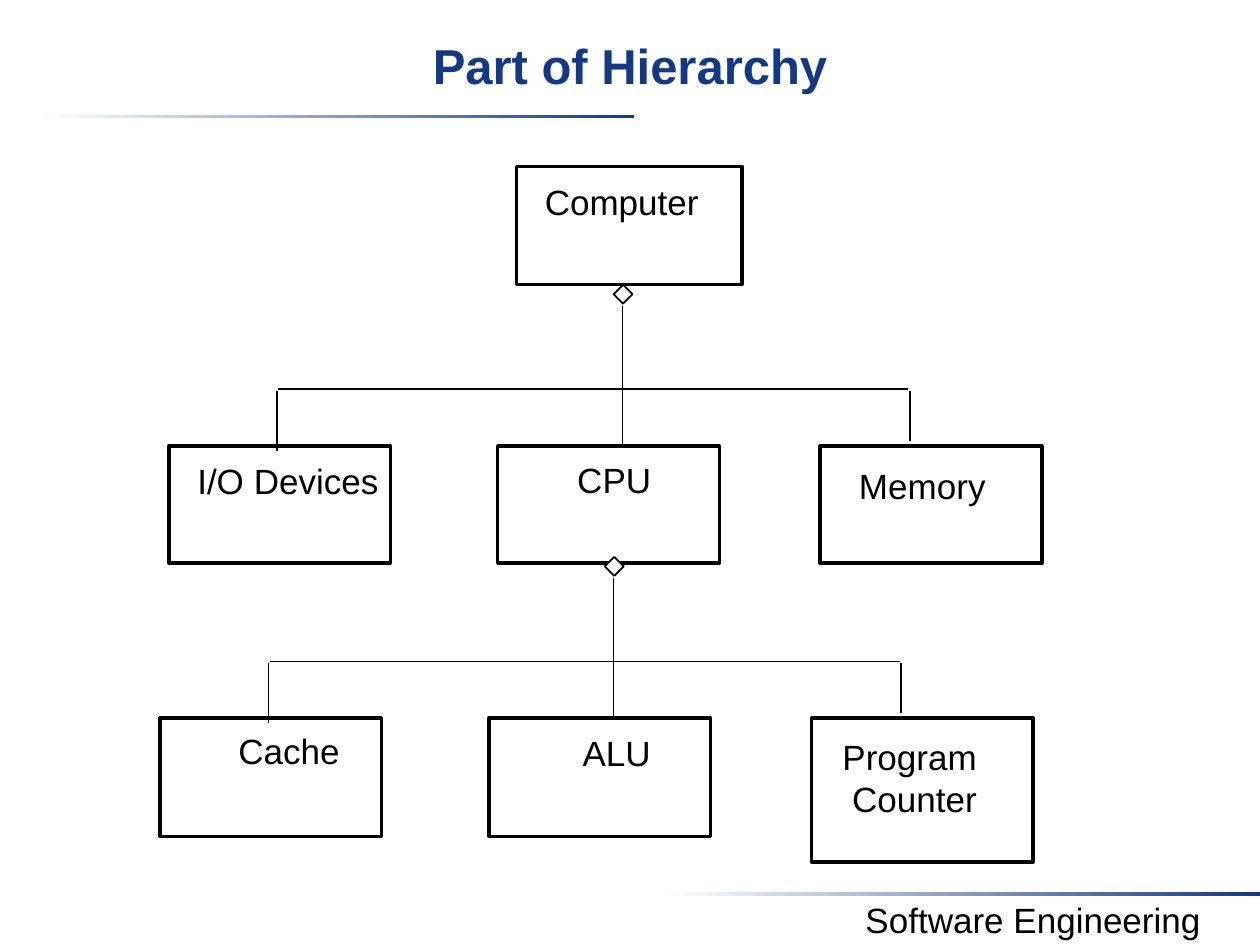
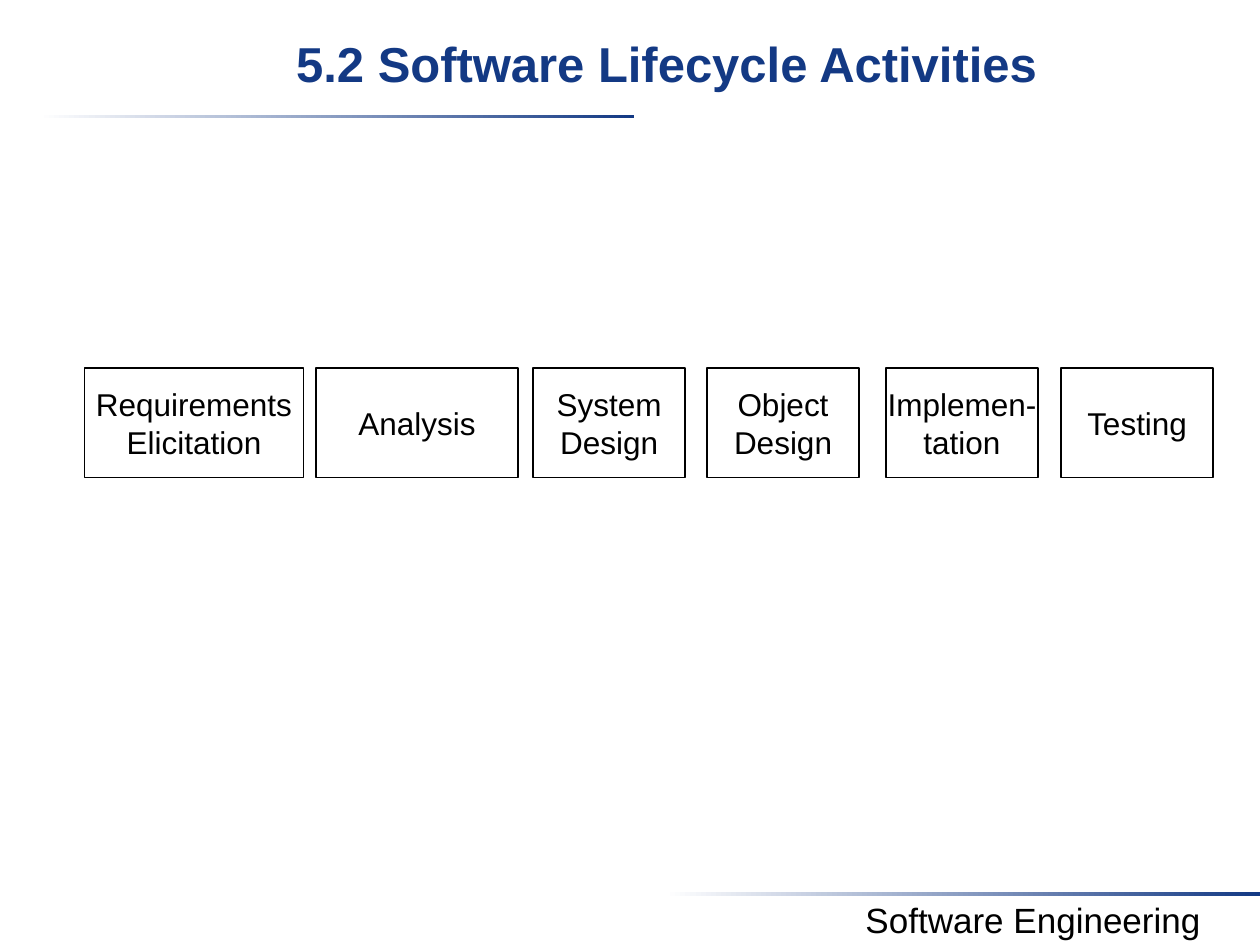
from lxml import etree
from pptx import Presentation
from pptx import util as u
from pptx.dml.color import RGBColor
from pptx.enum import shapes, text
from pptx.oxml.ns import qn

COLORS = {"navy": "133984", "black": "000000", "white": "FFFFFF"}
FONT = "Arial"
FOOTER = "Software Engineering"
BANDS = [(0.31, 0.91), (5.28, 7.08)]
BAND_SIZE = (4.72, 0.03)

HIERARCHY_TITLE = "Part of Hierarchy"
LIFECYCLE_TITLE = "5.2 Software Lifecycle Activities"

WHOLE = ("Computer", (4.1, 1.32, 1.79, 0.94), (4.22, 1.38, 1.43, 0.44))

# Each tree: offset, then (label, box height, label place) for its three parts
TREES = [
    ((0, 0), [
        ("I/O Devices", 0.93, (1.44, 3.6, 1.69, 0.43)),
        ("CPU", 0.93, (4.48, 3.59, 0.79, 0.43)),
        ("Memory", 0.93, (6.69, 3.64, 1.26, 0.43)),
    ]),
    ((-0.07, 2.16), [
        ("Cache", 0.94, (1.78, 5.74, 1.03, 0.43)),
        ("ALU", 0.94, (4.51, 5.76, 0.77, 0.43)),
        ("Program\n Counter", 1.14, (6.58, 5.79, 1.28, 0.77)),
    ]),
]
PART_LEFTS = (1.34, 3.95, 6.51)
PART_TOP, PART_WIDTH = 3.54, 1.76
DIAMOND = (4.87, 2.26, 0.15, 0.15)
BRANCHES = [
    (4.94, 2.43, 4.94, 3.54),
    (2.21, 3.09, 7.21, 3.09),
    (7.22, 3.1, 7.22, 3.5),
    (2.2, 3.1, 2.2, 3.58),
]

# Label, left, width
ACTIVITIES = [
    ("Requirements\nElicitation", 0.67, 1.74),
    ("Analysis", 2.51, 1.6),
    ("System\nDesign", 4.23, 1.21),
    ("Object\nDesign", 5.61, 1.21),
    ("Implemen-\ntation", 7.03, 1.21),
    ("Testing", 8.42, 1.21),
]
ACTIVITY_TOP, ACTIVITY_HEIGHT = 2.92, 0.87


def rgb(name):
    return RGBColor.from_string(COLORS[name])


def inches(values):
    return [u.Inches(v) for v in values]


def write(sp, content, size=20, color="black", bold=False, wrap=False,
          anchor=text.MSO_ANCHOR.TOP, top=0.05, grow=False):
    tf = sp.text_frame
    tf.word_wrap = wrap
    tf.vertical_anchor = anchor
    tf.margin_top = u.Inches(top)
    if grow:
        tf.auto_size = text.MSO_AUTO_SIZE.SHAPE_TO_FIT_TEXT
    for i, line in enumerate(content.split("\n")):
        p = tf.add_paragraph() if i else tf.paragraphs[0]
        p.alignment = text.PP_ALIGN.CENTER
        p.line_spacing = u.Pt(size * 1.2)
        r = p.add_run()
        r.text = line
        r.font.name, r.font.size, r.font.bold = FONT, u.Pt(size), bold
        r.font.color.rgb = rgb(color)


def add_label(parent, content, place, **fmt):
    write(parent.shapes.add_textbox(*inches(place)), content, **fmt)


def add_outline(parent, place, width, fill=None,
                kind=shapes.MSO_SHAPE.RECTANGLE):
    sp = parent.shapes.add_shape(kind, *inches(place))
    sp.shadow.inherit = False
    if fill:
        sp.fill.solid()
        sp.fill.fore_color.rgb = rgb(fill)
    else:
        sp.fill.background()
    sp.line.color.rgb = rgb("black")
    sp.line.width = u.Pt(width)
    return sp


def add_line(parent, ends):
    line = parent.shapes.add_connector(shapes.MSO_CONNECTOR.STRAIGHT,
                                       *inches(ends))
    line.line.color.rgb = rgb("black")
    line.line.width = u.Pt(1)
    etree.SubElement(line._element.spPr, qn("a:effectLst"))


def add_band(s, left, top):
    sp = s.shapes.add_shape(shapes.MSO_SHAPE.RECTANGLE,
                            *inches((left, top, *BAND_SIZE)))
    sp.shadow.inherit = False
    sp.line.fill.background()
    sp.fill.gradient()
    sp.fill.gradient_angle = 0
    for stop, color, position in zip(sp.fill.gradient_stops,
                                     ("white", "navy"), (0, 1)):
        stop.color.rgb = rgb(color)
        stop.position = position


def new_slide(prs, title, title_left=0, title_inset=0.07):
    s = prs.slides.add_slide(prs.slide_layouts[6])
    s.background.fill.solid()
    s.background.fill.fore_color.rgb = rgb("white")
    for left, top in BANDS:
        add_band(s, left, top)
    add_label(s, FOOTER, (6.4, 7.08, 3.6, 0.44), wrap=True, grow=True)
    add_label(s, title, (title_left, 0.2, 10, 0.75), size=28, color="navy",
              bold=True, wrap=True, top=title_inset)
    return s


def add_tree(s, offset, parts):
    """Draw an aggregation diamond, its branches and the three parts below."""
    dx, dy = offset
    group = s.shapes.add_group_shape()
    for left, (label, height, label_place) in zip(PART_LEFTS, parts):
        add_outline(group, (left + dx, PART_TOP + dy, PART_WIDTH, height), 2)
        add_label(group, label, label_place, grow=True)
    for x1, y1, x2, y2 in BRANCHES:
        add_line(group, (x1 + dx, y1 + dy, x2 + dx, y2 + dy))
    left, top, width, height = DIAMOND
    add_outline(group, (left + dx, top + dy, width, height), 1, fill="white",
                kind=shapes.MSO_SHAPE.DIAMOND)


def hierarchy_slide(prs):
    s = new_slide(prs, HIERARCHY_TITLE, title_inset=0.08)
    label, box, label_place = WHOLE
    add_outline(s, box, 2)
    add_label(s, label, label_place, grow=True)
    for offset, parts in TREES:
        add_tree(s, offset, parts)


def lifecycle_slide(prs):
    s = new_slide(prs, LIFECYCLE_TITLE, title_left=0.29)
    for label, left, width in ACTIVITIES:
        box = add_outline(s, (left, ACTIVITY_TOP, width, ACTIVITY_HEIGHT), 1,
                          fill="white")
        write(box, label, size=18, anchor=text.MSO_ANCHOR.MIDDLE)


def main():
    prs = Presentation()
    prs.slide_width, prs.slide_height = inches((10, 7.5))
    hierarchy_slide(prs)
    lifecycle_slide(prs)
    prs.save("out.pptx")


if __name__ == "__main__":
    main()
